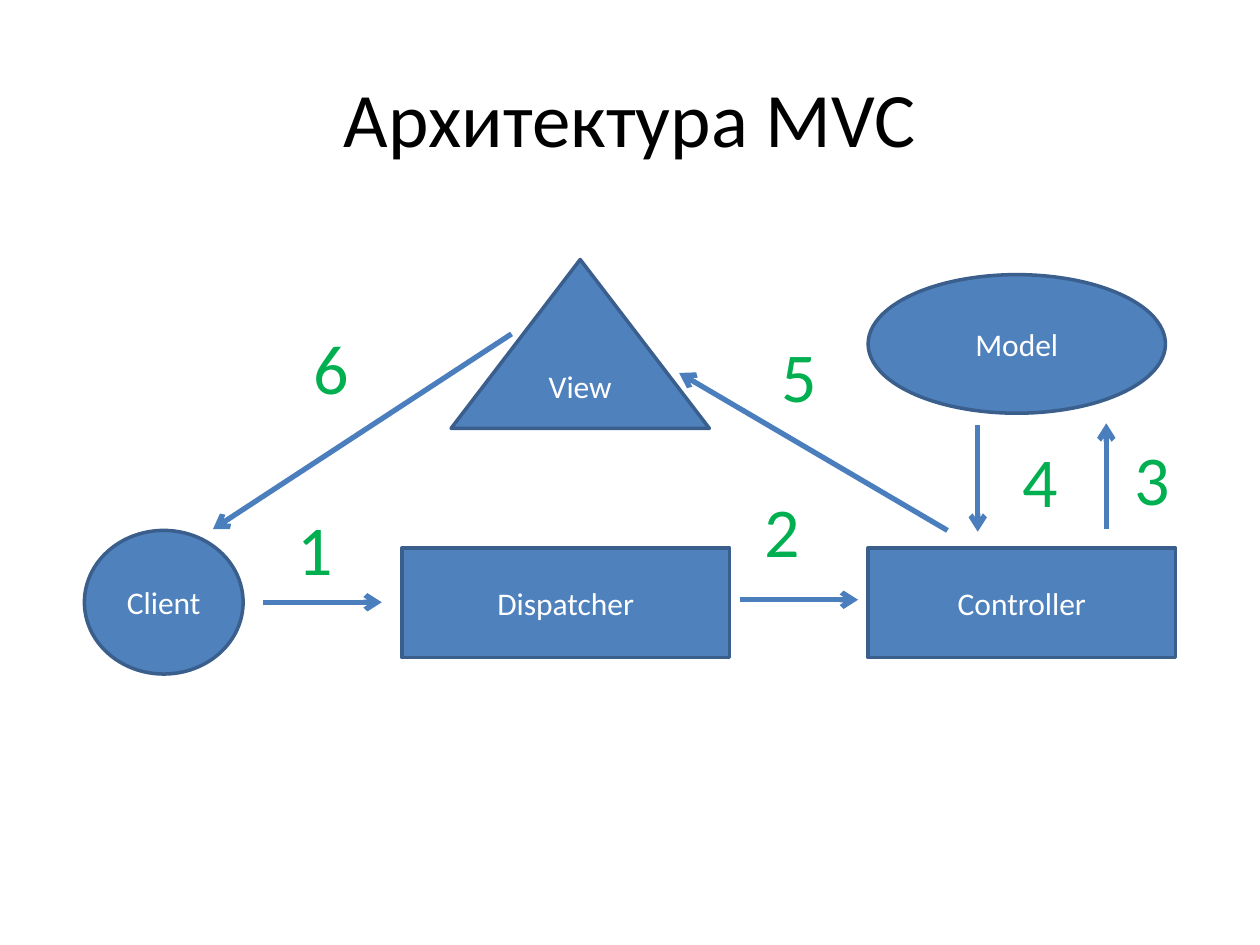
import pptx
import pptx.dml.color
import pptx.enum.shapes
import pptx.enum.text
import pptx.oxml
import pptx.oxml.ns
import pptx.util
from pptx.util import Inches

COLOURS = {
    "title": "000000",
    "fill": "4F81BD",
    "outline": "3A5F8C",
    "arrow": "4B7EBC",
    "node_text": "FFFFFF",
    "step": "00B050",
}
SHAPES = pptx.enum.shapes.MSO_SHAPE
ALIGN = pptx.enum.text.PP_ALIGN
ANCHOR = pptx.enum.text.MSO_ANCHOR
AUTO_SIZE = pptx.enum.text.MSO_AUTO_SIZE


def colour(name):
    return pptx.dml.color.RGBColor.from_string(COLOURS[name])


def set_attributes(target, values):
    for name, value in values.items():
        setattr(target, name, value)


class Diagram:
    font_name = "Calibri"

    def __init__(self, slide):
        self.slide = slide

    def set_text(self, shape, text, size, colour_name, alignment, frame_format):
        set_attributes(shape.text_frame, frame_format)
        paragraph = shape.text_frame.paragraphs[0]
        paragraph.alignment = alignment
        run = paragraph.add_run()
        run.text = text
        set_attributes(run.font, {"name": self.font_name, "size": pptx.util.Pt(size)})
        run.font.color.rgb = colour(colour_name)

    def set_line(self, line, colour_name, width):
        line.color.rgb = colour(colour_name)
        line.width = pptx.util.Pt(width)

    def title(self, text, box):
        shape = self.slide.shapes.add_textbox(*map(Inches, box))
        self.set_text(shape, text, 44, "title", ALIGN.CENTER,
                      {"word_wrap": True, "vertical_anchor": ANCHOR.MIDDLE})

    def node(self, text, kind, box):
        shape = self.slide.shapes.add_shape(kind, *map(Inches, box))
        shape.shadow.inherit = False
        shape.fill.solid()
        shape.fill.fore_color.rgb = colour("fill")
        self.set_line(shape.line, "outline", 2)
        self.set_text(shape, text, 18, "node_text", ALIGN.CENTER,
                      {"word_wrap": True, "vertical_anchor": ANCHOR.MIDDLE})

    def arrow(self, start, end):
        connector = self.slide.shapes.add_connector(
            pptx.enum.shapes.MSO_CONNECTOR.STRAIGHT, *map(Inches, start + end))
        self.set_line(connector.line, "arrow", 3)
        # Open arrowhead at the end, no theme shadow
        namespace = pptx.oxml.ns.nsdecls("a")
        properties = connector._element.spPr
        properties.find(pptx.oxml.ns.qn("a:ln")).append(
            pptx.oxml.parse_xml(f'<a:tailEnd {namespace} type="arrow"/>'))
        properties.append(pptx.oxml.parse_xml(f"<a:effectLst {namespace}/>"))

    def step(self, number, left, top, width=0.49, wrap=False):
        shape = self.slide.shapes.add_textbox(*map(Inches, (left, top, width, 0.77)))
        self.set_text(shape, str(number), 40, "step", ALIGN.LEFT,
                      {"word_wrap": wrap, "auto_size": AUTO_SIZE.SHAPE_TO_FIT_TEXT})


def main():
    presentation = pptx.Presentation()
    set_attributes(presentation, {"slide_width": Inches(10), "slide_height": Inches(7.5)})
    diagram = Diagram(presentation.slides.add_slide(presentation.slide_layouts[6]))

    diagram.title("Архитектура MVC", (0.5, 0.3, 9, 1.25))

    # Components
    for text, kind, box in (
        ("Client", SHAPES.OVAL, (0.67, 4.21, 1.26, 1.14)),
        ("Dispatcher", SHAPES.RECTANGLE, (3.19, 4.35, 2.6, 0.87)),
        ("Controller", SHAPES.RECTANGLE, (6.89, 4.35, 2.44, 0.87)),
        ("Model", SHAPES.OVAL, (6.89, 2.18, 2.36, 1.1)),
        ("View", SHAPES.ISOSCELES_TRIANGLE, (3.58, 2.06, 2.05, 1.34)),
    ):
        diagram.node(text, kind, box)

    # Request flow, in step order
    for start, end in (
        ((2.09, 4.78), (3.03, 4.78)),
        ((5.87, 4.76), (6.81, 4.76)),
        ((8.78, 4.2), (8.78, 3.36)),
        ((7.76, 3.37), (7.76, 4.22)),
        ((7.52, 4.21), (5.39, 2.96)),
        ((4.06, 2.65), (1.69, 4.2)),
    ):
        diagram.arrow(start, end)

    # Step numbers; the third sits in a narrow wrapped box
    diagram.step(1, 2.26, 3.96)
    diagram.step(2, 5.97, 3.82)
    diagram.step(3, 8.95, 3.41, width=0.15, wrap=True)
    diagram.step(4, 8.02, 3.42)
    diagram.step(5, 6.1, 2.59)
    diagram.step(6, 2.39, 2.53)

    presentation.save("out.pptx")


if __name__ == "__main__":
    main()
